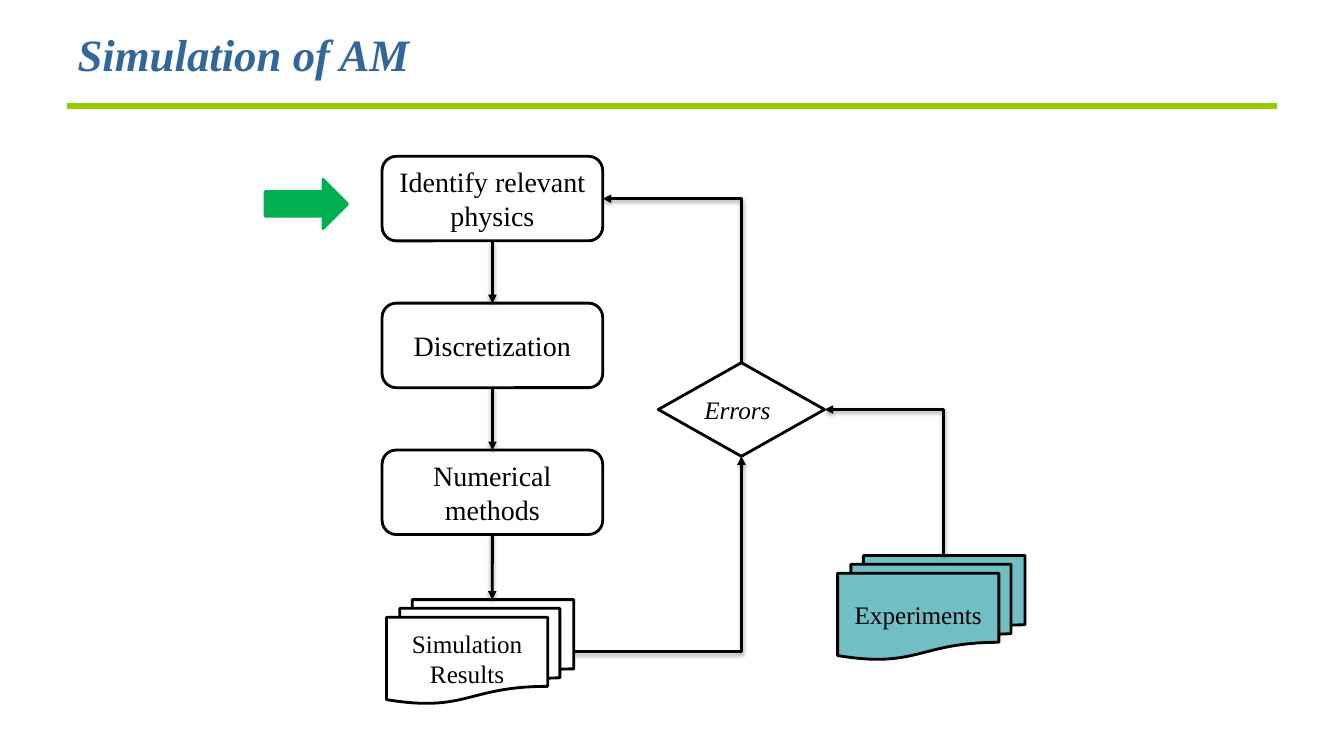
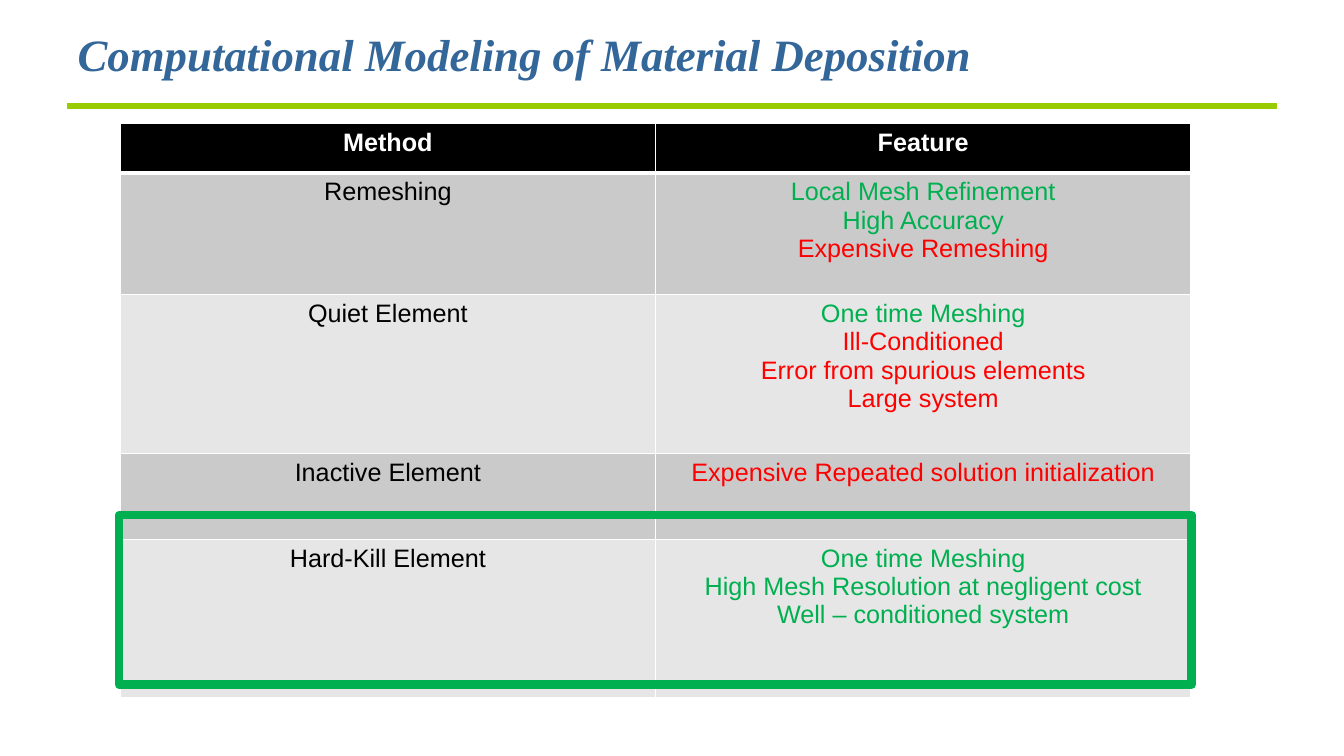
import pptx
import pptx.dml.color
import pptx.enum.shapes
import pptx.enum.text
import pptx.oxml
import pptx.oxml.ns
import pptx.util

Cm = pptx.util.Cm
Pt = pptx.util.Pt
qn = pptx.oxml.ns.qn
Kind = pptx.enum.shapes.MSO_SHAPE
Link = pptx.enum.shapes.MSO_CONNECTOR
Align = pptx.enum.text.PP_ALIGN
Anchor = pptx.enum.text.MSO_ANCHOR

HUES = {
    "title": "336699", "rule": "99CC00", "ink": "000000", "paper": "FFFFFF",
    "teal": "71BEC4", "good": "00B050", "bad": "FF0000",
    "dark": "CACACA", "light": "E6E6E6",
}
SERIF, SANS = "Times New Roman", "Arial"
SITES = {"top": 0, "left": 1, "bottom": 2, "right": 3}
SHADOW = ('<a:outerShdw blurRad="40000" dist="20000" dir="5400000" rotWithShape="0">'
          '<a:srgbClr val="000000"><a:alpha val="38000"/></a:srgbClr></a:outerShdw>')


def rgb(hue):
    return pptx.dml.color.RGBColor.from_string(HUES[hue])


def xml(tag, inner="", attrs=""):
    space = pptx.oxml.ns.nsdecls("a")
    return pptx.oxml.parse_xml(f"<a:{tag} {space} {attrs}>{inner}</a:{tag}>")


def write(frame, text, hues=("ink",), font=SERIF, size=20, bold=False,
          italic=False, align=Align.CENTER):
    """Fill a frame, one paragraph a line; the last hue covers the rest."""
    frame.text = text
    for i, para in enumerate(frame.paragraphs):
        para.alignment = align
        for run in para.runs:
            face = run.font
            face.name, face.size = font, Pt(size)
            face.bold, face.italic = bold, italic
            face.color.rgb = rgb(hues[min(i, len(hues) - 1)])


class Deck:
    def __init__(self):
        self.file = pptx.Presentation()
        self.file.slide_width, self.file.slide_height = Cm(33.87), Cm(19.05)
        self.slide = None

    def page(self, title):
        """Start a slide with its title and the rule below it."""
        self.slide = self.file.slides.add_slide(self.file.slide_layouts[5])
        head = self.slide.shapes.title
        head.left, head.top = Cm(1.7), Cm(0.64)
        head.width, head.height = Cm(30.48), Cm(1.4)
        head.text_frame.vertical_anchor = Anchor.MIDDLE
        write(head.text_frame, title, ["title"], size=32, bold=True,
              italic=True, align=Align.LEFT)
        rule = self.slide.shapes.add_connector(
            Link.STRAIGHT, Cm(1.7), Cm(2.67), Cm(32.18), Cm(2.67))
        self.ink(rule, "rule", 4)
        rule.element.spPr.append(xml("effectLst"))

    def ink(self, item, hue="ink", width=2):
        item.line.color.rgb = rgb(hue)
        item.line.width = Pt(width)

    def shape(self, kind, x, y, w, h, text="", fill=None, line="ink",
              width=2, size=20):
        item = self.slide.shapes.add_shape(kind, Cm(x), Cm(y), Cm(w), Cm(h))
        item.shadow.inherit = False
        if fill:
            item.fill.solid()
            item.fill.fore_color.rgb = rgb(fill)
        else:
            item.fill.background()
        self.ink(item, line, width)
        if text:
            item.text_frame.word_wrap = True
            item.text_frame.vertical_anchor = Anchor.MIDDLE
            write(item.text_frame, text, size=size)
        return item

    def label(self, text, x, y, w, h, **look):
        box = self.slide.shapes.add_textbox(Cm(x), Cm(y), Cm(w), Cm(h))
        box.text_frame.word_wrap = True
        write(box.text_frame, text, **look)

    def link(self, a, out, b, into, bent=False, tip="tailEnd", hook=None):
        """Join two shapes; hook is the share of b's width to end at."""
        kind = Link.ELBOW if bent else Link.STRAIGHT
        line = self.slide.shapes.add_connector(kind, 0, 0, 0, 0)
        line.begin_connect(a, SITES[out])
        line.end_connect(b, SITES[into])
        if hook:
            line.end_x = b.left + int(b.width * hook)
        self.ink(line)
        props = line.element.spPr
        if bent:
            props.find(qn("a:prstGeom")).set("prst", "bentConnector2")
        props.find(qn("a:ln")).append(xml(tip, attrs='type="triangle"'))
        props.append(xml("effectLst", SHADOW))

    def cell(self, cell, text, fill, edges, **look):
        """Edges are the top and bottom border widths in points."""
        props = cell._tc.get_or_add_tcPr()
        paint = f'<a:solidFill><a:srgbClr val="{HUES["paper"]}"/></a:solidFill>'
        for side, width in zip("LRTB", (1, 1, *edges)):
            props.append(xml(f"ln{side}", paint, f'w="{Pt(width)}"'))
        cell.fill.solid()
        cell.fill.fore_color.rgb = rgb(fill)
        write(cell.text_frame, text, font=SANS, size=18, **look)

    def table(self, x, y, width, tall, heads, rows):
        """Rows hold a name, the good points and the bad points."""
        grid = self.slide.shapes.add_table(
            len(tall), len(heads), Cm(x), Cm(y),
            Cm(width * len(heads)), Cm(sum(tall))).table
        for col in grid.columns:
            col.width = Cm(width)
        for row, high in zip(grid.rows, tall):
            row.height = Cm(high)
        for c, head in enumerate(heads):
            self.cell(grid.cell(0, c), head, "ink", (1, 3),
                      hues=["paper"], bold=True)
        for r, (name, good, bad) in enumerate(rows, 1):
            fill = "dark" if r % 2 else "light"
            edges = (3 if r == 1 else 1, 1)
            hues = ["good"] * len(good) + ["bad"] * len(bad)
            self.cell(grid.cell(r, 0), name, fill, edges)
            self.cell(grid.cell(r, 1), "\n".join(good + bad), fill, edges,
                      hues=hues)


def flow(deck):
    deck.page("Simulation of AM")

    # Steps and stacks of sheets
    steps = [deck.shape(Kind.ROUNDED_RECTANGLE, 9.63, 3.94 + 3.7 * i,
                        5.56, 2.13, text)
             for i, text in enumerate(("Identify relevant physics",
                                       "Discretization", "Numerical methods"))]
    stack = Kind.FLOWCHART_MULTIDOCUMENT
    sims = deck.shape(stack, 9.74, 15.11, 4.72, 2.62, "Simulation Results", size=18)
    tests = deck.shape(stack, 21.11, 14, 4.72, 2.62, "Experiments",
                       fill="teal", size=18)
    check = deck.shape(Kind.FLOWCHART_DECISION, 16.59, 9.14, 4.19, 2.36)

    # Arrows
    crest = 0.565
    for a, b in zip(steps, steps[1:]):
        deck.link(a, "bottom", b, "top")
    deck.link(steps[-1], "bottom", sims, "top", hook=crest)
    deck.link(sims, "right", check, "bottom", bent=True)
    deck.link(check, "right", tests, "top", bent=True, tip="headEnd", hook=crest)
    deck.link(steps[0], "right", check, "top", bent=True, tip="headEnd")

    # Label and marker
    deck.label("Errors", 17.5, 9.8, 2.26, 1.02, size=18, italic=True,
               align=Align.LEFT)
    deck.shape(Kind.RIGHT_ARROW, 6.68, 4.52, 2.08, 1.24, fill="good", line="good")


def methods(deck):
    deck.page("Computational Modeling of Material Deposition")
    deck.table(3.03, 3.12, 13.49, (1.24, 3.07, 4, 2.16, 4), ("Method", "Feature"), (
        ("Remeshing", ["Local Mesh Refinement", "High Accuracy"],
         ["Expensive Remeshing"]),
        ("Quiet Element", ["One time Meshing"],
         ["Ill-Conditioned", "Error from spurious elements", "Large system"]),
        ("Inactive Element", [], ["Expensive Repeated solution initialization"]),
        ("Hard-Kill Element",
         ["One time Meshing", "High Mesh Resolution at negligent cost",
          "Well – conditioned system"], []),
    ))

    # Frame around the chosen method
    deck.shape(Kind.RECTANGLE, 3, 12.98, 27.03, 4.27, line="good", width=6)


def main():
    deck = Deck()
    flow(deck)
    methods(deck)
    deck.file.save("out.pptx")


if __name__ == "__main__":
    main()
